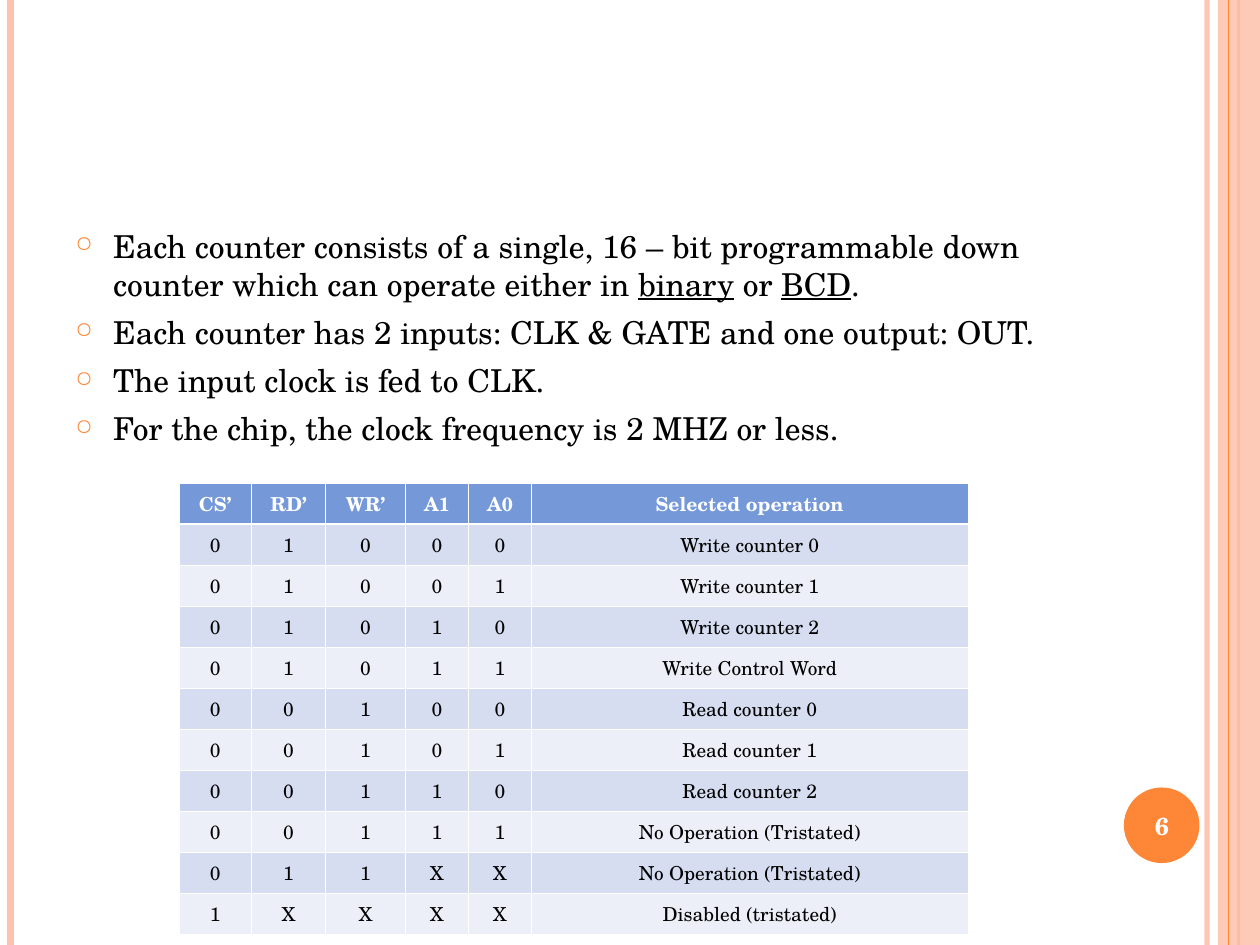
from lxml import etree
from pptx import Presentation
from pptx.dml.color import RGBColor
from pptx.enum.shapes import MSO_CONNECTOR, MSO_SHAPE
from pptx.enum.text import MSO_ANCHOR, PP_ALIGN
from pptx.oxml.ns import qn
from pptx.util import Pt

STRAIGHT = MSO_CONNECTOR.STRAIGHT
RECTANGLE, OVAL = MSO_SHAPE.RECTANGLE, MSO_SHAPE.OVAL
MIDDLE = MSO_ANCHOR.MIDDLE
CENTER = PP_ALIGN.CENTER

WIDTH, HEIGHT = 720, 540
COLORS = {
    "text": "000000",
    "white": "FFFFFF",
    "peach": "FEC3AE",
    "orange": "FE8637",
    "header": "7598D9",
    "odd": "D6DDF1",
    "even": "ECEFF8",
}

STRIPES = [(689.75, "peach", 3, 93), (6, "peach", 4.5, 100), (707.75, "orange", 1.5, 100)]
COUNTER_FACTS = [
    [("Each counter consists of a single, 16 – bit programmable down counter "
      "which can operate either in ", False),
     ("binary", True), (" or ", False), ("BCD", True), (".", False)],
    [("Each counter has 2 inputs: CLK & GATE and one output: OUT.", False)],
    [("The input clock is fed to CLK.", False)],
    [("For the chip, the clock frequency is 2 MHZ or less.", False)],
]
COLUMN_WIDTHS = [41.5, 42.3, 45.7, 36, 36, 249.5]
HEADINGS = ["CS’", "RD’", "WR’", "A1", "A0", "Selected operation"]
OPERATIONS = [
    ("01000", "Write counter 0"),
    ("01001", "Write counter 1"),
    ("01010", "Write counter 2"),
    ("01011", "Write Control Word"),
    ("00100", "Read counter 0"),
    ("00101", "Read counter 1"),
    ("00110", "Read counter 2"),
    ("00111", "No Operation (Tristated)"),
    ("011XX", "No Operation (Tristated)"),
    ("1XXXX", "Disabled (tristated)"),
]


def child(parent, tag, **attributes):
    return etree.SubElement(parent, qn(tag), attributes)


class SlideBuilder:
    font_name = "TeX Gyre Schola"

    def __init__(self, slide):
        self.slide = slide
        self.shapes = slide.shapes

    def color(self, name):
        return RGBColor.from_string(COLORS[name])

    def style(self, paragraph, size, color, bold=False):
        font = paragraph.font
        font.name, font.size, font.bold = self.font_name, Pt(size), bold
        font.color.rgb = self.color(color)

    def fade(self, properties, percent):
        if percent < 100:
            tint = next(properties.iter(qn("a:srgbClr")))
            child(tint, "a:alpha", val=str(percent * 1000))

    def stripe(self, x, color, width, opacity=100):
        stripe = self.shapes.add_connector(STRAIGHT, Pt(x), 0, Pt(x), Pt(HEIGHT))
        stripe.line.color.rgb = self.color(color)
        stripe.line.width = Pt(width)
        properties = stripe.line._get_or_add_ln().getparent()
        self.fade(properties, opacity)
        child(properties, "a:effectLst")

    def block(self, kind, left, top, width, height, color, opacity=100):
        block = self.shapes.add_shape(kind, Pt(left), Pt(top), Pt(width), Pt(height))
        block.shadow.inherit = False
        block.fill.solid()
        block.fill.fore_color.rgb = self.color(color)
        block.line.fill.background()
        self.fade(block._element.spPr, opacity)

    def frame(self, left, top, width, height):
        frame = self.shapes.add_textbox(Pt(left), Pt(top), Pt(width), Pt(height)).text_frame
        frame.word_wrap = True
        return frame

    def bullets(self, left, top, width, height, items):
        frame = self.frame(left, top, width, height)
        for index, item in enumerate(items):
            paragraph = frame.add_paragraph() if index else frame.paragraphs[0]
            properties = paragraph._p.get_or_add_pPr()
            properties.set("marL", str(Pt(21.6)))
            properties.set("indent", str(-Pt(21.6)))
            child(child(properties, "a:buClr"), "a:srgbClr", val=COLORS["orange"])
            child(properties, "a:buSzPct", val="70000")
            child(properties, "a:buChar", char="○")
            if index:
                paragraph.space_before = Pt(6)
            self.style(paragraph, 18, "text")
            for text, underlined in item:
                run = paragraph.add_run()
                run.text = text
                if underlined:
                    run.font.underline = True

    def page_number(self, left, top, width, height, number):
        frame = self.frame(left, top, width, height)
        frame.vertical_anchor = MIDDLE
        paragraph = frame.paragraphs[0]
        paragraph.text = number
        paragraph.alignment = CENTER
        self.style(paragraph, 14, "white", bold=True)

    def cell(self, cell, text, fill, color, bold, borders):
        cell.vertical_anchor = MIDDLE
        paragraph = cell.text_frame.paragraphs[0]
        paragraph.text = text
        paragraph.alignment = CENTER
        self.style(paragraph, 11, color, bold)
        properties = cell._tc.get_or_add_tcPr()
        for side, width in borders.items():
            border = child(properties, f"a:ln{side}", w=str(Pt(width)))
            child(child(border, "a:solidFill"), "a:srgbClr", val=COLORS["white"])
        cell.fill.solid()
        cell.fill.fore_color.rgb = self.color(fill)

    def table(self, left, top, widths, row_height, rows):
        table = self.shapes.add_table(
            len(rows), len(widths), Pt(left), Pt(top),
            Pt(sum(widths)), Pt(row_height * len(rows))).table
        for column, width in zip(table.columns, widths):
            column.width = Pt(width)
        for index, values in enumerate(rows):
            table.rows[index].height = Pt(row_height)
            heading = index == 0
            fill = "header" if heading else "odd" if index % 2 else "even"
            borders = {"L": 0.45, "R": 0.45,
                       "T": 1.47 if index == 1 else 0.45,
                       "B": 1.47 if heading else 0.45}
            for column, text in enumerate(values):
                self.cell(table.cell(index, column), text, fill,
                          "white" if heading else "text", heading, borders)


def main():
    deck = Presentation()
    deck.slide_width, deck.slide_height = Pt(WIDTH), Pt(HEIGHT)
    builder = SlideBuilder(deck.slides.add_slide(deck.slide_layouts[6]))

    for stripe in STRIPES:
        builder.stripe(*stripe)
    builder.block(RECTANGLE, 696, 0, 24, HEIGHT, "peach", 87)
    builder.stripe(702, "orange", 0.75)
    builder.block(OVAL, 642.25, 450, 43.2, 43.2, "orange")

    builder.bullets(36, 126, 588, 384, COUNTER_FACTS)
    builder.page_number(640, 451.5, 48, 41, "6")
    rows = [HEADINGS] + [[*signals, operation] for signals, operation in OPERATIONS]
    builder.table(102.25, 276, COLUMN_WIDTHS, 23.45, rows)

    deck.save("out.pptx")


if __name__ == "__main__":
    main()
